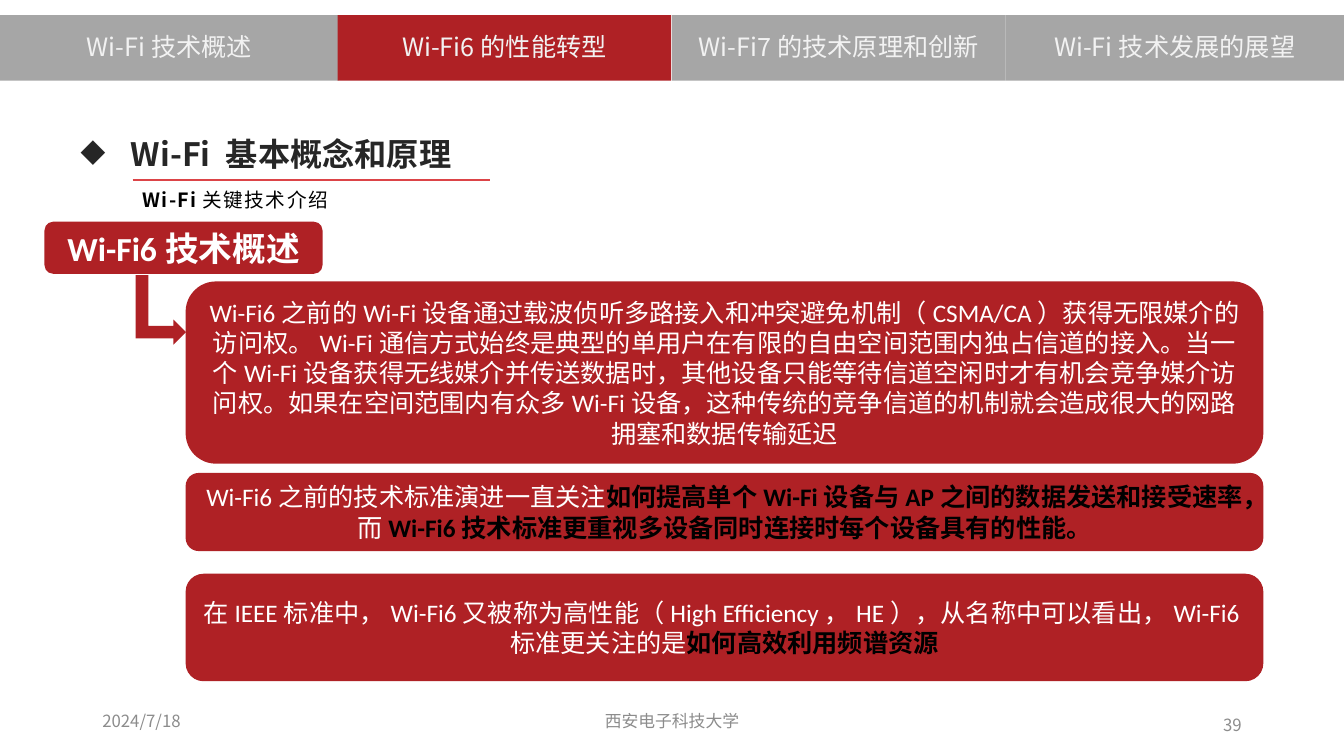
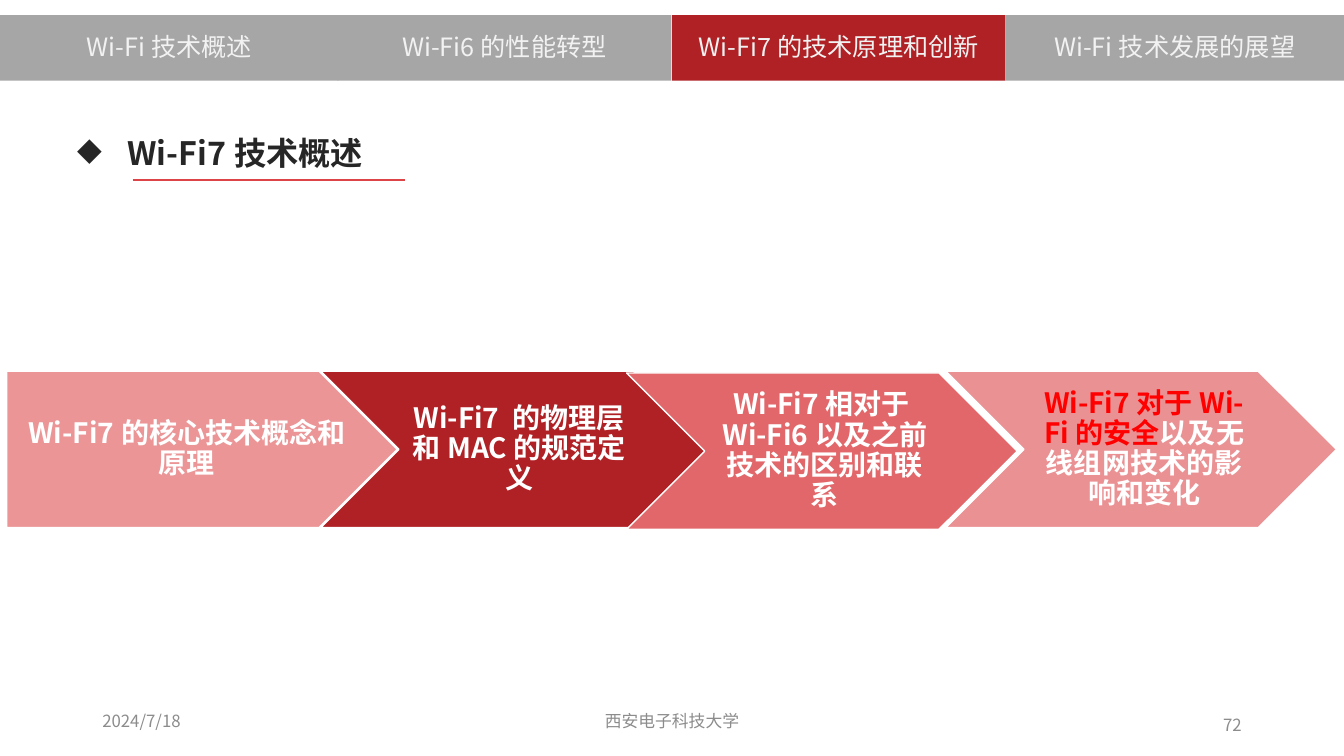
"""Build two Wi-Fi slides that share tabs, a ruled title and a footer."""
from lxml import etree
from pptx import Presentation
from pptx.dml.color import RGBColor
from pptx.enum.shapes import MSO_CONNECTOR, MSO_SHAPE
from pptx.enum.text import MSO_ANCHOR, PP_ALIGN
from pptx.oxml.ns import qn
from pptx.util import Inches, Pt

LEFT, MID, RIGHT = PP_ALIGN.LEFT, PP_ALIGN.CENTER, PP_ALIGN.RIGHT
RECT, ROUND = MSO_SHAPE.RECTANGLE, MSO_SHAPE.FLOWCHART_ALTERNATE_PROCESS
PLATE, CHEVRON = MSO_SHAPE.PENTAGON, MSO_SHAPE.CHEVRON
BEND = MSO_SHAPE.BENT_UP_ARROW
STRAIGHT = MSO_CONNECTOR.STRAIGHT
TOP, CENTRE = MSO_ANCHOR.TOP, MSO_ANCHOR.MIDDLE

HUES = {
    "red": "AF2125", "grey": "A6A6A6", "pale": "F2F2F2", "rule": "DC4448",
    "ink": "262626", "foot": "8C8C8C", "white": "FFFFFF", "black": "000000",
    "alert": "FF0000", "pink": "EB9597", "coral": "E2676A", "rose": "EA9194",
}
SANS, BODY = "Noto Sans CJK SC", "Calibri"
STYLES = {
    "tab": {"size": Pt(18), "name": SANS},
    "title": {"size": Pt(23), "name": SANS, "bold": True},
    "sub": {"size": Pt(14), "name": SANS},
    "badge": {"size": Pt(24), "name": BODY, "bold": True},
    "panel": {"size": Pt(18), "name": BODY},
    "step": {"size": Pt(20), "name": SANS, "bold": True},
    "foot": {"size": Pt(12), "name": SANS},
}

deck = Presentation()
deck.slide_width, deck.slide_height = Inches(13.33), Inches(7.5)
COL, ROW = deck.slide_width / 160, deck.slide_height / 90


def hue(name):
    return RGBColor.from_string(HUES[name])


def box(slide, kind, at, style="", runs=(), fill=None, align=MID, space=1.0):
    """Place a shape or text box on the grid; a run is text, colour, extras."""
    x, y, w, h = at
    place = [int(n) for n in (x * COL, y * ROW, w * COL, h * ROW)]
    if kind is None:
        item = slide.shapes.add_textbox(*place)
    else:
        item = slide.shapes.add_shape(kind, *place)
        item.shadow.inherit = False
        item.fill.solid()
        item.fill.fore_color.rgb = hue(fill)
        item.line.fill.background()
    frame = item.text_frame
    frame.word_wrap = True
    frame.vertical_anchor = CENTRE
    para = frame.paragraphs[0]
    para.alignment, para.line_spacing = align, space
    for text, tint, *more in runs:
        run = para.add_run()
        run.text = text
        look = {**STYLES[style], **(more[0] if more else {})}
        for key, value in look.items():
            setattr(run.font, key, value)
        run.font.color.rgb = hue(tint)
        props = run._r.get_or_add_rPr()
        etree.SubElement(props, qn("a:ea")).set("typeface", SANS)
    return item


TABS = [
    ("Wi-Fi技术概述", 0, 40.3),
    ("Wi-Fi6的性能转型", 40.2, 39.7),
    ("Wi-Fi7的技术原理和创新", 80, 39.7),
    ("Wi-Fi技术发展的展望", 119.7, 40.3),
]
PAGES = [
    ("Wi-Fi 基本概念和原理", (8.4, 15.2, 48.8, 6.8), 58.3, 1, "39"),
    ("Wi-Fi7技术概述", (8, 15, 59.3, 6.8), 48.2, 2, "72"),
]
slides = []
for title, spot, end, live, page in PAGES:
    slide = deck.slides.add_slide(deck.slide_layouts[6])
    slides.append(slide)
    for i, (name, x, w) in enumerate(TABS):
        box(slide, RECT, (x, 1.8, w, 7.8), "tab", [(name, "pale")],
            fill="red" if i == live else "grey", space=0.9)

    rule = slide.shapes.add_connector(
        STRAIGHT, int(15.8 * COL), int(21.4 * ROW),
        int(end * COL), int(21.4 * ROW))
    rule.line.color.rgb, rule.line.width = hue("rule"), Pt(1.5)
    etree.SubElement(rule._element.spPr, qn("a:effectLst"))

    head = box(slide, None, spot, "title", [(title, "ink")],
               align=LEFT, space=0.9)
    props = head.text_frame.paragraphs[0]._p.get_or_add_pPr()
    props.set("marL", str(Inches(0.5)))
    props.set("indent", str(-Inches(0.5)))
    etree.SubElement(props, qn("a:buChar")).set("char", "◆")

    for text, x, y, w, align in [
        ("2024/7/18", 11, 83.4, 36, LEFT),
        ("西安电子科技大学", 53, 83.4, 54, MID),
        (page, 113, 83.9, 36, RIGHT),
    ]:
        box(slide, None, (x, y, w, 4.8), "foot", [(text, "foot")], align=align)

first, second = slides

sub = box(first, None, (15.8, 20.9, 27.2, 4.6), "sub",
          [("Wi-Fi", "black", {"bold": True}), ("关键技术介绍", "black")],
          align=LEFT, space=1.3)
sub.text_frame.vertical_anchor = TOP
for run in sub.text_frame.paragraphs[0].runs:
    run._r.get_or_add_rPr().set("spc", "100")

box(first, ROUND, (5.3, 26.4, 33.1, 6.2), "badge",
    [("Wi-Fi6技术概述", "white")], fill="red")
box(first, BEND, (15, 33.9, 8.3, 6), fill="red").rotation = 90

BOLD = {"bold": True}
PANELS = [
    (33.5, 21.7, [
        ("Wi-Fi6之前的Wi-Fi设备通过载波侦听多路接入和冲突避免机制（CSMA/CA）"
         "获得无限媒介的访问权。Wi-Fi通信方式始终是典型的单用户在有限的自由空间"
         "范围内独占信道的接入。当一个Wi-Fi设备获得无线媒介并传送数据时，其他设备"
         "只能等待信道空闲时才有机会竞争媒介访问权。如果在空间范围内有众多Wi-Fi"
         "设备，这种传统的竞争信道的机制就会造成很大的网路拥塞和数据传输延迟",
         "white")]),
    (56.3, 9.3, [
        ("Wi-Fi6之前的技术标准演进一直关注", "white"),
        ("如何提高单个Wi-Fi设备与AP之间的数据发送和接受速率，", "black", BOLD),
        ("而", "white"),
        ("Wi-Fi6技术标准更重视多设备同时连接时每个设备具有的性能。",
         "black", BOLD)]),
    (68.3, 12.8, [
        ("在IEEE标准中，Wi-Fi6又被称为高性能（High Efficiency，HE），"
         "从名称中可以看出，Wi-Fi6标准更关注的是", "white"),
        ("如何高效利用频谱资源", "black", BOLD)]),
]
for y, h, runs in PANELS:
    box(first, ROUND, (22.1, y, 128.3, h), "panel", runs, fill="red")

STEPS = [
    (PLATE, 0.8, 44.2, "pink", 0.12, [("Wi-Fi7的核心技术概念和原理", "white")]),
    (CHEVRON, 38.2, 44.2, "red", 0.09,
     [("Wi-Fi7 的物理层和MAC的规范定义", "white")]),
    (CHEVRON, 74.6, 44.4, "coral", 0.09,
     [("Wi-Fi7相对于Wi-Fi6以及之前技术的区别和联系", "white")]),
    (CHEVRON, 112.6, 44.2, "rose", 0.09,
     [("Wi-Fi7对于Wi-Fi的安全", "alert"),
      ("以及无线组网技术的影响和变化", "white")]),
]
for kind, x, y, fill, inset, runs in STEPS:
    step = box(second, kind, (x, y, 46.5, 18.6), "step", runs, fill, space=0.9)
    step.line.color.rgb, step.line.width = hue("white"), Pt(1)
    pads = {"left": inset, "top": 0.06, "right": 0.03, "bottom": 0.06}
    for side, pad in pads.items():
        setattr(step.text_frame, "margin_" + side, Inches(pad))

deck.save("out.pptx")
